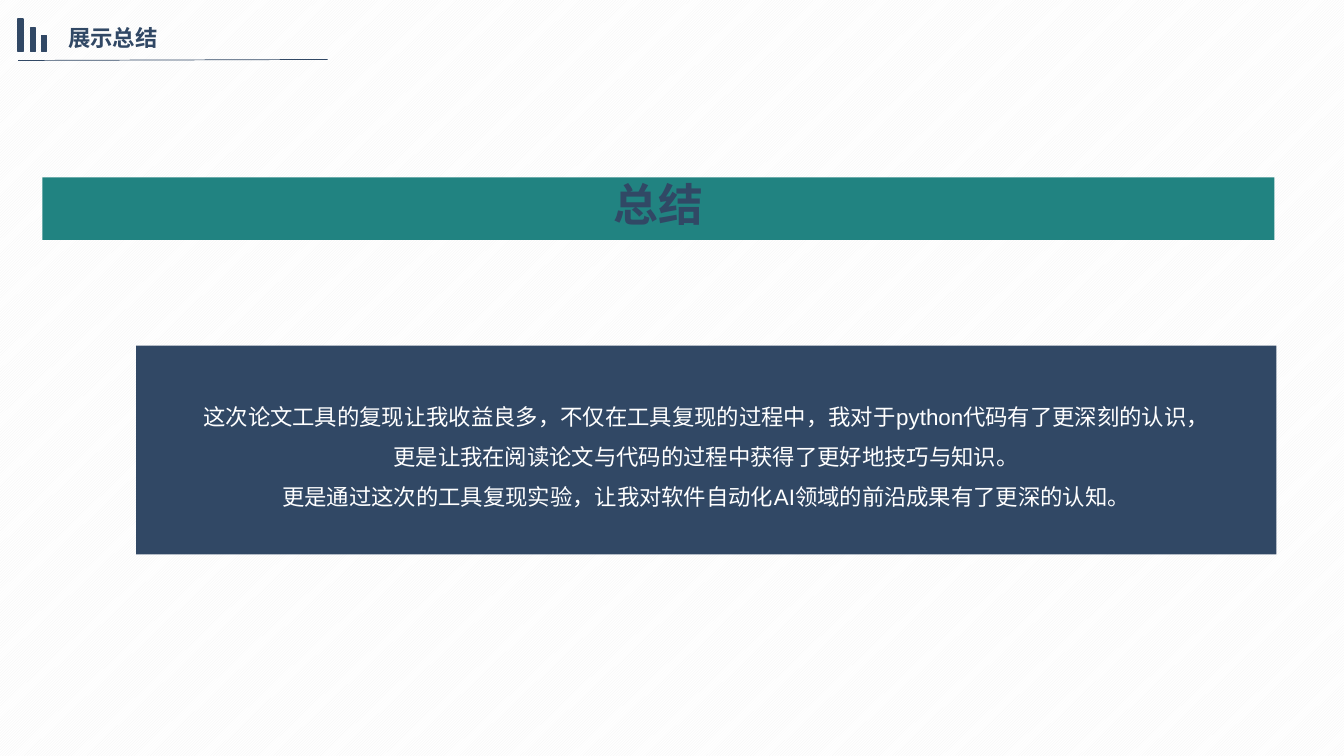
from dataclasses import dataclass

import pptx
import pptx.dml.color
import pptx.enum.dml
import pptx.enum.shapes
import pptx.enum.text
import pptx.oxml.ns
import pptx.util
from lxml import etree
from pptx.util import Inches

Align = pptx.enum.text.PP_ALIGN
Anchor = pptx.enum.text.MSO_ANCHOR


@dataclass(frozen=True)
class Theme:
    font: str = "Arial"
    navy: str = "314865"
    teal: str = "218381"
    white: str = "FFFFFF"
    stripe: str = "F2F2F2"
    title_size: int = 32
    text_size: int = 16


THEME = Theme()
SUMMARY = (
    "这次论文工具的复现让我收益良多，不仅在工具复现的过程中，我对于python代码有了更深刻的认识，",
    "更是让我在阅读论文与代码的过程中获得了更好地技巧与知识。",
    "更是通过这次的工具复现实验，让我对软件自动化AI领域的前沿成果有了更深的认知。",
)


def rgb(value):
    return pptx.dml.color.RGBColor.from_string(value)


def fill_solid(shape, color):
    shape.fill.solid()
    shape.fill.fore_color.rgb = rgb(color)


def set_background(slide):
    fill = slide.background.fill
    fill.patterned()
    fill.pattern = pptx.enum.dml.MSO_PATTERN.DARK_UPWARD_DIAGONAL
    fill.fore_color.rgb = rgb(THEME.stripe)
    fill.back_color.rgb = rgb(THEME.white)


def write_text(shape, lines, size, color, align, anchor, spacing=1.0, bold=False):
    frame = shape.text_frame
    frame.word_wrap = True
    frame.auto_size = pptx.enum.text.MSO_AUTO_SIZE.NONE
    frame.vertical_anchor = anchor
    for index, line in enumerate(lines):
        paragraph = frame.add_paragraph() if index else frame.paragraphs[0]
        paragraph.alignment = align
        paragraph.line_spacing = spacing
        paragraph.space_before = pptx.util.Pt(0)
        run = paragraph.add_run()
        run.text = line
        run.font.name = THEME.font
        run.font.size = pptx.util.Pt(size)
        run.font.bold = bold
        run.font.color.rgb = rgb(color)


def add_rectangle(shapes, left, top, width, height, color):
    rectangle = shapes.add_shape(
        pptx.enum.shapes.MSO_SHAPE.RECTANGLE,
        Inches(left), Inches(top), Inches(width), Inches(height))
    rectangle.shadow.inherit = False
    fill_solid(rectangle, color)
    rectangle.line.fill.background()
    return rectangle


def add_rule(shapes, start, end):
    rule = shapes.add_connector(
        pptx.enum.shapes.MSO_CONNECTOR.STRAIGHT,
        *(Inches(value) for value in start + end))
    rule.line.color.rgb = rgb(THEME.navy)
    rule.line.width = pptx.util.Pt(0.5)
    properties = rule._element.spPr
    etree.SubElement(properties, pptx.oxml.ns.qn("a:effectLst"))


def place_title(slide, text):
    title = slide.shapes.title
    title.left, title.top = Inches(0.42), Inches(1.76)
    title.width, title.height = Inches(12.22), Inches(0.62)
    fill_solid(title, THEME.teal)
    write_text(title, [text], THEME.title_size, THEME.navy,
               Align.CENTER, Anchor.TOP, spacing=0.9, bold=True)


def add_summary(slide, lines):
    panel = add_rectangle(slide.shapes, 1.35, 3.43, 11.31, 2.07, THEME.navy)
    write_text(panel, lines, THEME.text_size, THEME.white,
               Align.CENTER, Anchor.MIDDLE, spacing=1.5)


def add_header(slide, text):
    shapes = slide.shapes.add_group_shape().shapes
    add_rule(shapes, (0.18, 0.6), (3.25, 0.59))
    label = shapes.add_textbox(
        Inches(0.58), Inches(0.19), Inches(2.66), Inches(0.37))
    write_text(label, [text], THEME.text_size, THEME.navy,
               Align.JUSTIFY, Anchor.TOP, bold=True)
    baseline = 0.51
    for left, height in ((0.18, 0.32), (0.3, 0.23), (0.41, 0.16)):
        bar = add_rectangle(shapes, left, baseline - height, 0.05, height, THEME.navy)
        bar.line.color.rgb = rgb(THEME.navy)
        bar.line.width = pptx.util.Pt(1)


def main():
    presentation = pptx.Presentation()
    presentation.slide_width = Inches(13.33)
    presentation.slide_height = Inches(7.5)
    title_only = presentation.slide_layouts.get_by_name("Title Only")
    slide = presentation.slides.add_slide(title_only)
    set_background(slide)
    place_title(slide, "总结")
    add_summary(slide, SUMMARY)
    add_header(slide, "展示总结")
    presentation.save("out.pptx")


if __name__ == "__main__":
    main()
